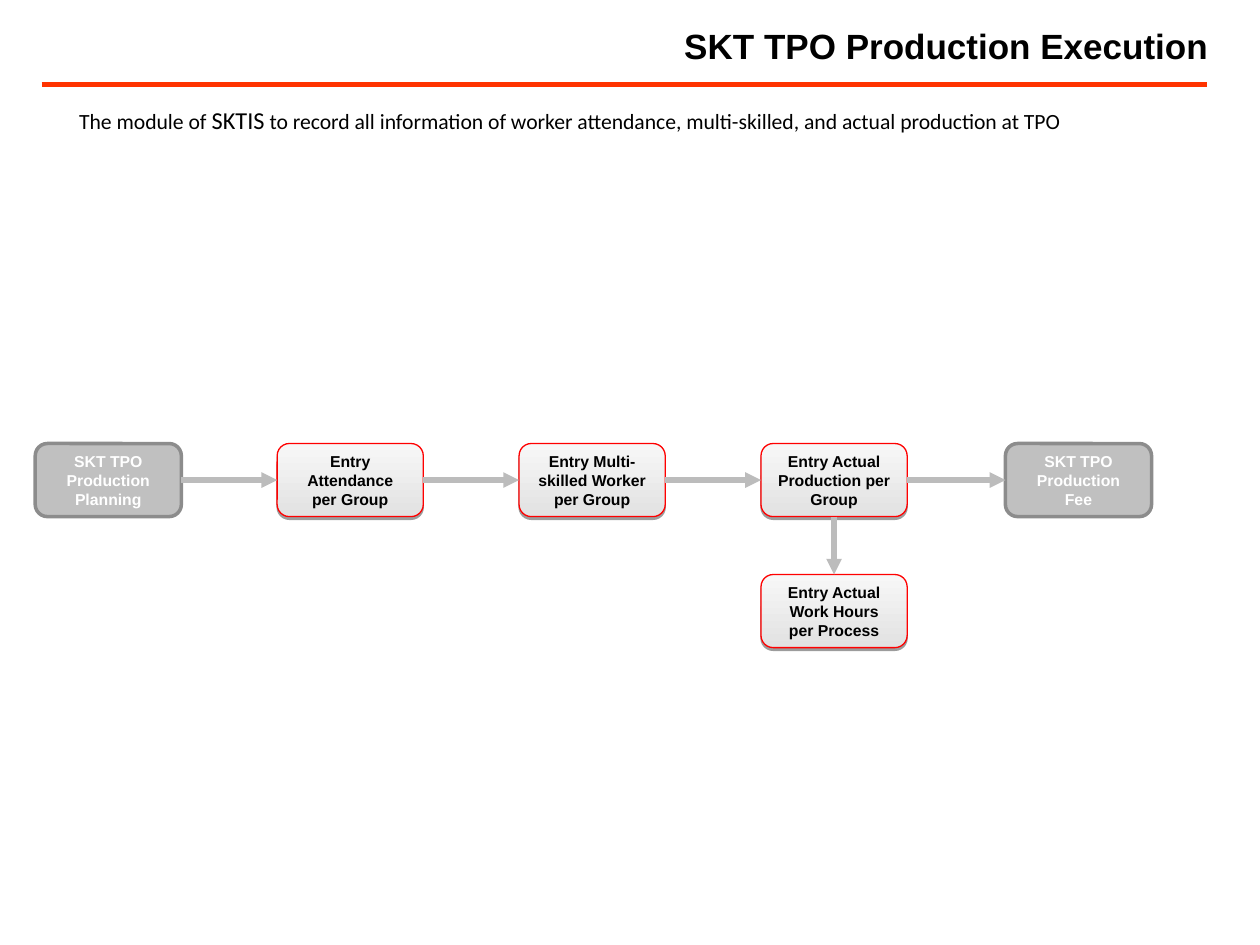
from dataclasses import dataclass

from lxml.etree import SubElement
from pptx import Presentation
from pptx.dml.color import RGBColor
from pptx.enum.shapes import MSO_CONNECTOR, MSO_SHAPE
from pptx.enum.text import MSO_ANCHOR, PP_ALIGN
from pptx.oxml.ns import qn
from pptx.util import Inches, Pt


@dataclass(frozen=True)
class Theme:
    heading_font: str = "Arial"
    body_font: str = "Calibri"
    title_size: float = 20
    body_size: float = 12.4
    system_size: float = 13.9
    step_size: float = 9
    rule_width: float = 3
    text: str = "000000"
    rule: str = "FF3300"
    arrow: str = "BCBCBC"
    step_bottom: str = "E2E2E2"
    step_top: str = "F7F7F7"
    step_border: str = "FF0000"
    module_fill: str = "C0C0C0"
    module_border: str = "8C8C8C"
    module_text: str = "FFFFFF"


THEME = Theme()
BOX_WIDTH, BOX_HEIGHT = 1.16, 0.58
TOP, LEFT, BOTTOM, RIGHT = range(4)


def rgb(value):
    return RGBColor.from_string(value)


def add_run(paragraph, text, font_name, size, color, bold=False):
    run = paragraph.add_run()
    run.text = text
    run.font.name = font_name
    run.font.size = Pt(size)
    run.font.bold = bold
    run.font.color.rgb = rgb(color)


def add_line(slide, start, end, color):
    line = slide.shapes.add_connector(
        MSO_CONNECTOR.STRAIGHT, *(Inches(value) for value in (*start, *end)))
    line.line.color.rgb = rgb(color)
    line.line.width = Pt(THEME.rule_width)
    SubElement(line.element.spPr, qn("a:effectLst"))
    return line


def add_header(slide, left, top, width, height):
    title = slide.shapes.title
    title.left, title.top = Inches(left), Inches(top)
    title.width, title.height = Inches(width), Inches(height)
    frame = title.text_frame
    frame.vertical_anchor = MSO_ANCHOR.MIDDLE
    paragraph = frame.paragraphs[0]
    paragraph.alignment = PP_ALIGN.RIGHT
    add_run(paragraph, "SKT TPO Production Execution", THEME.heading_font,
            THEME.title_size, THEME.text, True)
    rule_top = top + height + 0.01
    add_line(slide, (0.33, rule_top), (9.58, rule_top), THEME.rule)


def add_description(slide, left, top, width, height):
    description = slide.shapes.add_textbox(
        Inches(left), Inches(top), Inches(width), Inches(height))
    frame = description.text_frame
    frame.word_wrap = True
    paragraph = frame.paragraphs[0]
    paragraph.line_spacing = 1.1
    for text, size in (
        ("The module of ", THEME.body_size),
        ("SKTIS", THEME.system_size),
        (" to record all information of worker attendance, multi-skilled, "
         "and actual production at TPO", THEME.body_size),
    ):
        add_run(paragraph, text, THEME.body_font, size, THEME.text)


def add_box(slide, left, top, lines, text_color, border, border_width):
    box = slide.shapes.add_shape(
        MSO_SHAPE.ROUNDED_RECTANGLE, Inches(left), Inches(top),
        Inches(BOX_WIDTH), Inches(BOX_HEIGHT))
    box.shadow.inherit = False
    box.line.color.rgb = rgb(border)
    box.line.width = Pt(border_width)
    frame = box.text_frame
    frame.word_wrap = True
    frame.vertical_anchor = MSO_ANCHOR.MIDDLE
    for index, line in enumerate(lines):
        paragraph = frame.add_paragraph() if index else frame.paragraphs[0]
        paragraph.alignment = PP_ALIGN.CENTER
        add_run(paragraph, line, THEME.heading_font, THEME.step_size,
                text_color, True)
    return box


def add_module(slide, left, top, lines):
    module = add_box(slide, left, top, lines, THEME.module_text,
                     THEME.module_border, 2)
    module.fill.solid()
    module.fill.fore_color.rgb = rgb(THEME.module_fill)
    return module


def add_step(slide, left, top, text):
    step = add_box(slide, left, top, [text], THEME.text,
                   THEME.step_border, 0.75)
    step.fill.gradient()
    step.fill.gradient_angle = 90
    for stop, color in zip(step.fill.gradient_stops,
                           (THEME.step_bottom, THEME.step_top)):
        stop.color.rgb = rgb(color)
    effects = step.element.spPr.find(qn("a:effectLst"))
    shadow = SubElement(effects, qn("a:outerShdw"), blurRad="0",
                        dist=str(Pt(1.6)), dir="5400000", rotWithShape="0")
    shade = SubElement(shadow, qn("a:srgbClr"), val="000000")
    SubElement(shade, qn("a:alpha"), val="38000")
    return step


def add_arrow(slide, source, source_side, target, target_side):
    arrow = add_line(slide, (0, 0), (1, 1), THEME.arrow)
    arrow.begin_connect(source, source_side)
    arrow.end_connect(target, target_side)
    SubElement(arrow.element.spPr.find(qn("a:ln")), qn("a:tailEnd"),
               type="triangle")


def add_flow(slide, left, top, pitch, drop):
    planning = add_module(slide, left, top,
                          ["SKT TPO", "Production Planning"])
    steps = [
        add_step(slide, left + pitch * index, top, text)
        for index, text in enumerate((
            "Entry Attendance per Group",
            "Entry Multi-skilled Worker per Group",
            "Entry Actual Production per Group",
        ), start=1)
    ]
    fee = add_module(slide, left + pitch * 4 + 0.02, top,
                     ["SKT TPO", "Production Fee"])
    work_hours = add_step(slide, left + pitch * 3, top + drop,
                          "Entry Actual Work Hours per Process")
    chain = [planning, *steps, fee]
    for source, target in zip(chain, chain[1:]):
        add_arrow(slide, source, RIGHT, target, LEFT)
    add_arrow(slide, steps[-1], BOTTOM, work_hours, TOP)


def main():
    presentation = Presentation()
    presentation.slide_width = Inches(10)
    presentation.slide_height = Inches(7.5)
    slide = presentation.slides.add_slide(presentation.slide_layouts[5])
    add_header(slide, 3.04, 0.06, 6.65, 0.6)
    add_description(slide, 0.53, 0.76, 9, 0.57)
    add_flow(slide, 0.28, 3.52, pitch=1.92, drop=1.04)
    presentation.save("out.pptx")


if __name__ == "__main__":
    main()
